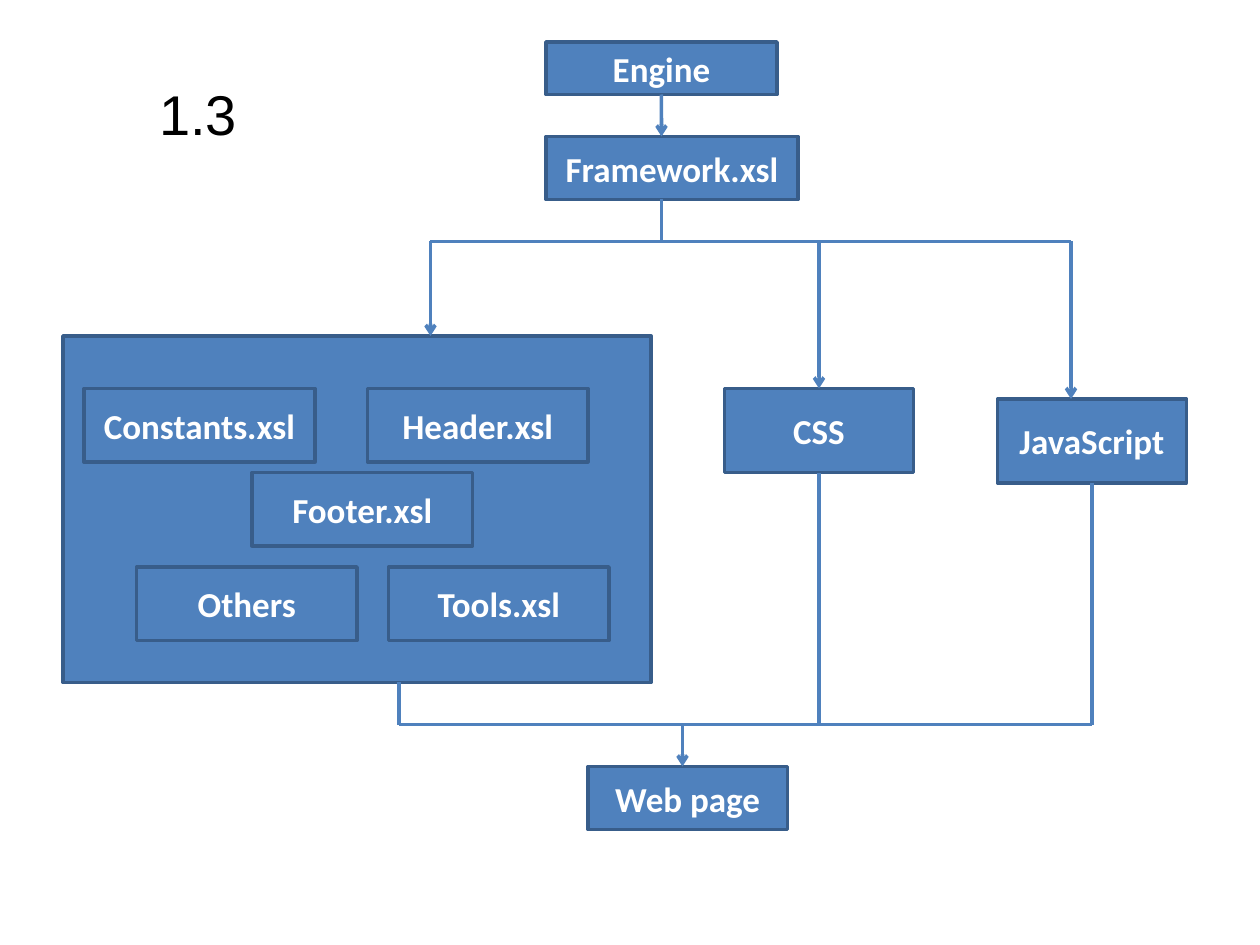
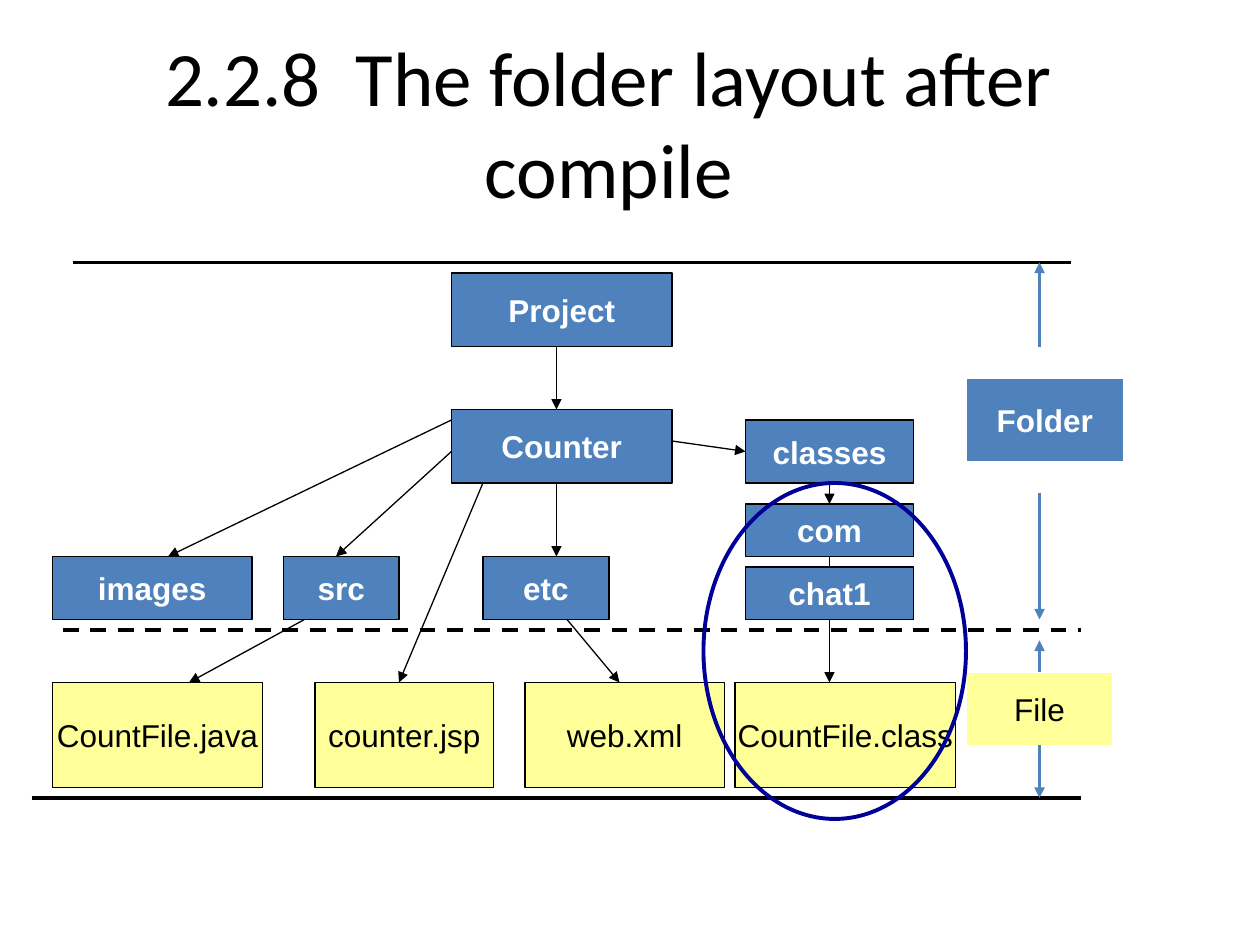
from dataclasses import dataclass
from typing import NamedTuple, Optional

from lxml import etree
from pptx import Presentation
from pptx import util as u
from pptx.dml.color import RGBColor
from pptx.enum import dml, shapes, text
from pptx.oxml import ns

UNIT = 2.54 / 12


@dataclass(frozen=True)
class Theme:
    blue: str = "4F81BD"
    steel: str = "385D8A"
    navy: str = "000099"
    yellow: str = "FFFF99"
    black: str = "000000"
    white: str = "FFFFFF"
    heading: str = "Calibri"
    body: str = "Arial"
    title_size: float = 44
    number_size: float = 32
    flow_size: float = 20
    tree_size: float = 18


T = Theme()


class Stroke(NamedTuple):
    color: str
    width: float
    dash: bool = False


class Type(NamedTuple):
    font: str
    size: float
    color: str
    bold: bool = False


class Style(NamedTuple):
    fill: Optional[str]
    stroke: Stroke
    type: Type
    wrap: bool = False
    kind: shapes.MSO_SHAPE = shapes.MSO_SHAPE.RECTANGLE


class Box(NamedTuple):
    label: str
    x: float
    y: float
    w: float
    h: float
    style: Style

    def sides(self) -> list[tuple[float, float]]:
        mx, my = self.x + self.w / 2, self.y + self.h / 2
        return [(mx, self.y), (self.x, my), (mx, self.y + self.h), (self.x + self.w, my)]


class Line(NamedTuple):
    x1: float
    y1: float
    x2: float
    y2: float
    stroke: Stroke
    head: str = ""


FLOW = Stroke(T.blue, 2)
THIN = Stroke(T.black, 0.75)
RULE = Stroke(T.black, 2.25)
DASHED = Stroke(T.black, 2.25, True)
PLAIN = Stroke(T.white, 0.75)

TITLE = Type(T.heading, T.title_size, T.black)
NUMBER = Type(T.body, T.number_size, T.black)
FOLDER_TYPE = Type(T.body, T.tree_size, T.white, True)
FILE_TYPE = Type(T.body, T.tree_size, T.black)

STAGE = Style(T.blue, Stroke(T.steel, 2), Type(T.heading, T.flow_size, T.white, True), True)
FOLDER = Style(T.blue, THIN, FOLDER_TYPE)
FILE = Style(T.yellow, THIN, FILE_TYPE)
FOLDER_KEY = Style(T.blue, PLAIN, FOLDER_TYPE)
FILE_KEY = Style(T.yellow, PLAIN, FILE_TYPE)
RING = Style(None, Stroke(T.navy, 2.25), FILE_TYPE, kind=shapes.MSO_SHAPE.OVAL)


def cm(n: float) -> u.Length:
    return u.Cm(n * UNIT)


def write(tf, words: str, style: Type, align: text.PP_ALIGN) -> None:
    p = tf.paragraphs[0]
    p.alignment = align
    r = p.add_run()
    r.text = words
    r.font.name, r.font.size, r.font.bold = style.font, u.Pt(style.size), style.bold
    r.font.color.rgb = RGBColor.from_string(style.color)


def paint(line, stroke: Stroke) -> None:
    line.color.rgb = RGBColor.from_string(stroke.color)
    line.width = u.Pt(stroke.width)
    if stroke.dash:
        line.dash_style = dml.MSO_LINE.DASH


def draw_box(s, box: Box):
    sp = s.shapes.add_shape(box.style.kind, cm(box.x), cm(box.y), cm(box.w), cm(box.h))
    sp.shadow.inherit = False
    if box.style.fill:
        sp.fill.solid()
        sp.fill.fore_color.rgb = RGBColor.from_string(box.style.fill)
    else:
        sp.fill.background()
    paint(sp.line, box.style.stroke)
    if box.label:
        tf = sp.text_frame
        tf.word_wrap = box.style.wrap
        tf.vertical_anchor = text.MSO_ANCHOR.MIDDLE
        write(tf, box.label, box.style.type, text.PP_ALIGN.CENTER)
    return sp


def draw_line(s, line: Line, drawn: list) -> None:
    c = s.shapes.add_connector(shapes.MSO_CONNECTOR.STRAIGHT,
                               cm(line.x1), cm(line.y1), cm(line.x2), cm(line.y2))
    paint(c.line, line.stroke)
    spPr = c.element.spPr
    if line.head:
        etree.SubElement(spPr.find(ns.qn("a:ln")), ns.qn("a:tailEnd"), type=line.head)
    etree.SubElement(spPr, ns.qn("a:effectLst"))
    for box, sp in drawn:
        for site, point in enumerate(box.sides()):
            if point == (line.x1, line.y1):
                c.begin_connect(sp, site)
            if point == (line.x2, line.y2):
                c.end_connect(sp, site)


def draw_diagram(s, boxes: list[Box], lines: list[Line]) -> None:
    drawn = [(box, draw_box(s, box)) for box in boxes]
    for line in lines:
        draw_line(s, line, drawn)


def build_engine(prs) -> None:
    s = prs.slides.add_slide(prs.slide_layouts[6])
    split, merge = 23, 69
    boxes = [Box(*row, STAGE) for row in (
        ("", 6, 32, 56, 33),
        ("Engine", 52, 4, 22, 5),
        ("Framework.xsl", 52, 13, 24, 6),
        ("Constants.xsl", 8, 37, 22, 7),
        ("Header.xsl", 35, 37, 21, 7),
        ("Footer.xsl", 24, 45, 21, 7),
        ("Others", 13, 54, 21, 7),
        ("Tools.xsl", 37, 54, 21, 7),
        ("CSS", 69, 37, 18, 8),
        ("JavaScript", 95, 38, 18, 8),
        ("Web page", 56, 73, 19, 6),
    )]
    plain = [(63, 19, 63, split), (41, split, 102, split), (38, 65, 38, merge),
             (38, merge, 104, merge), (104, merge, 104, 46), (78, merge, 78, 45)]
    arrows = [(63, 9, 63, 13), (41, split, 41, 32), (78, split, 78, 37),
              (102, split, 102, 38), (65, merge, 65, 73)]
    draw_diagram(s, boxes, [Line(*ends, FLOW) for ends in plain]
                 + [Line(*ends, FLOW, "arrow") for ends in arrows])
    tb = s.shapes.add_textbox(cm(14), cm(7), cm(11), cm(7.7))
    tb.text_frame.word_wrap = True
    write(tb.text_frame, "1.3", NUMBER, text.PP_ALIGN.LEFT)


def build_folders(prs) -> None:
    s = prs.slides.add_slide(prs.slide_layouts[5])
    sp = s.shapes.title
    sp.left, sp.top, sp.width, sp.height = cm(4), cm(6), cm(108), cm(15)
    tf = sp.text_frame
    tf.word_wrap = True
    tf.auto_size = text.MSO_AUTO_SIZE.NONE
    tf.vertical_anchor = text.MSO_ANCHOR.BOTTOM
    write(tf, "2.2.8  The folder layout after compile", TITLE, text.PP_ALIGN.CENTER)

    folders = [("Project", 43, 26, 21, 7), ("Counter", 43, 39, 21, 7),
               ("images", 5, 53, 19, 6), ("src", 27, 53, 11, 6), ("etc", 46, 53, 12, 6),
               ("classes", 71, 40, 16, 6), ("com", 71, 48, 16, 5), ("chat1", 71, 54, 16, 5)]
    files = [("CountFile.java", 5, 20), ("counter.jsp", 30, 17),
             ("web.xml", 50, 19), ("CountFile.class", 70, 21)]
    boxes = [Box(*row, FOLDER) for row in folders]
    boxes += [Box(label, x, 65, w, 10, FILE) for label, x, w in files]
    boxes += [Box("Folder", 92, 36, 15, 8, FOLDER_KEY), Box("File", 92, 64, 14, 7, FILE_KEY)]

    branches = [(53, 33, 53, 39), (43, 40, 16, 53), (43, 43, 32, 53), (46, 46, 38, 65),
                (53, 46, 53, 53), (64, 42, 71, 43), (79, 46, 79, 48), (79, 59, 79, 65),
                (29, 59, 18, 65), (54, 59, 59, 65)]
    spans = [(33, 25), (47, 59), (64, 61), (71, 76)]
    lines = [Line(7, 25, 102, 25, RULE), Line(6, 60, 103, 60, DASHED),
             Line(3, 76, 103, 76, RULE), Line(79, 54, 79, 53, THIN)]
    lines += [Line(*ends, THIN, "triangle") for ends in branches]
    lines += [Line(99, start, 99, end, FLOW, "triangle") for start, end in spans]
    draw_diagram(s, boxes, lines)
    draw_box(s, Box("", 67, 46, 25, 32, RING))


def main() -> None:
    prs = Presentation()
    prs.slide_width, prs.slide_height = u.Cm(25.4), u.Cm(19.05)
    build_engine(prs)
    build_folders(prs)
    prs.save("out.pptx")


if __name__ == "__main__":
    main()
